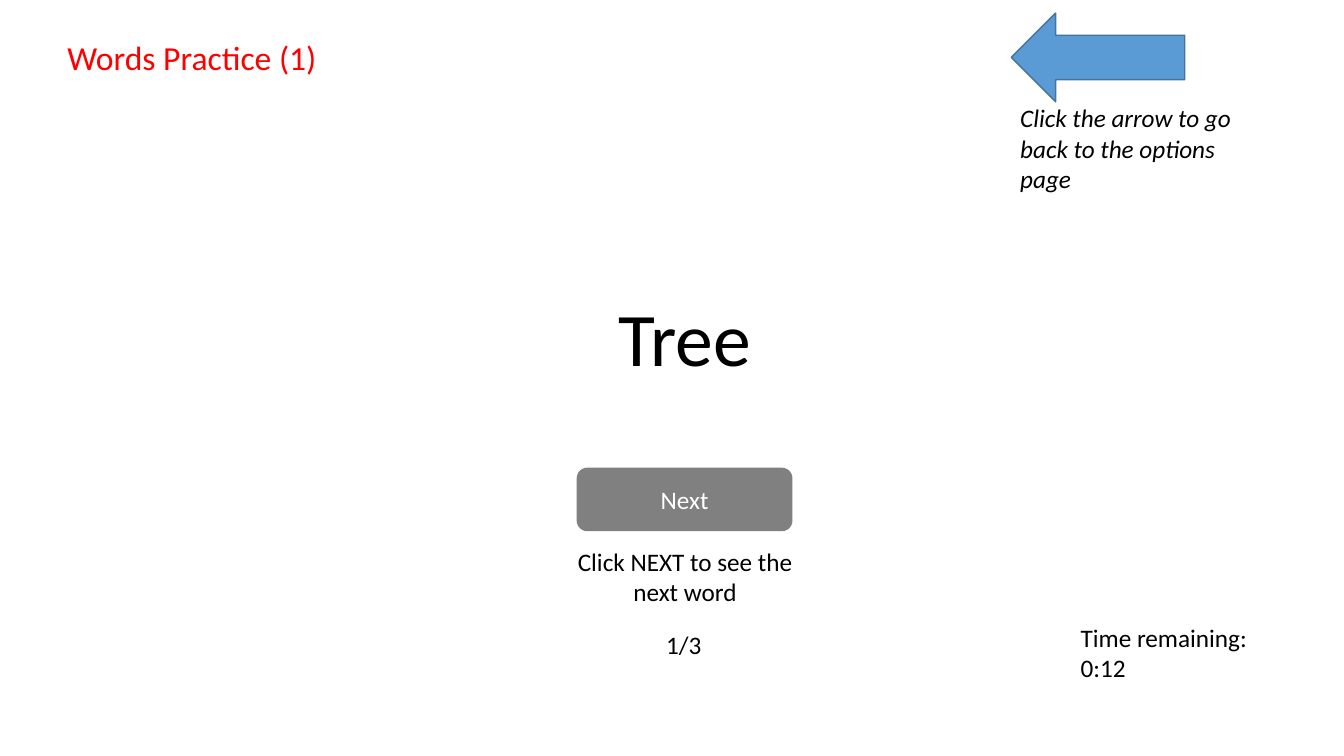
from dataclasses import dataclass, field

from pptx import Presentation
from pptx.dml.color import RGBColor
from pptx.enum.shapes import MSO_SHAPE
from pptx.enum.text import MSO_ANCHOR, PP_ALIGN
from pptx.util import Emu, Pt

LEFT, CENTER = PP_ALIGN.LEFT, PP_ALIGN.CENTER
MIDDLE = MSO_ANCHOR.MIDDLE
ROUNDED, LEFT_ARROW = MSO_SHAPE.ROUNDED_RECTANGLE, MSO_SHAPE.LEFT_ARROW

EMU_PER_PX = 9144  # 100 px to the inch
COLORS = {
    "black": "000000",
    "red": "FF0000",
    "white": "FFFFFF",
    "grey": "808080",
    "blue": "5B9BD5",
    "dark blue": "43739E",
}


@dataclass
class Label:
    box: tuple[int, int, int, int]
    lines: list[str]
    color: str = "black"
    align: PP_ALIGN = LEFT
    format: dict = field(default_factory=dict)


@dataclass
class Button:
    box: tuple[int, int, int, int]
    outline: MSO_SHAPE
    fill: str
    line: str = ""
    caption: str = ""


def px(*lengths: int) -> list[Emu]:
    return [Emu(length * EMU_PER_PX) for length in lengths]


def rgb(color: str) -> RGBColor:
    return RGBColor.from_string(COLORS[color])


def write(frame, lines: list[str], color: str, align: PP_ALIGN, format: dict) -> None:
    frame.word_wrap = True
    frame.text = "\n".join(lines)
    for paragraph in frame.paragraphs:
        paragraph.alignment = align
        for name, value in ({"name": "Calibri", "size": Pt(18)} | format).items():
            setattr(paragraph.font, name, value)
        paragraph.font.color.rgb = rgb(color)


def draw_label(slide, label: Label) -> None:
    frame = slide.shapes.add_textbox(*px(*label.box)).text_frame
    write(frame, label.lines, label.color, label.align, label.format)


def draw_button(slide, button: Button) -> None:
    shape = slide.shapes.add_shape(button.outline, *px(*button.box))
    shape.shadow.inherit = False
    shape.fill.solid()
    shape.fill.fore_color.rgb = rgb(button.fill)
    if button.line:
        shape.line.color.rgb = rgb(button.line)
        shape.line.width = Pt(1)
    else:
        shape.line.fill.background()
    if button.caption:
        shape.text_frame.vertical_anchor = MIDDLE
        write(shape.text_frame, [button.caption], "white", CENTER, {})


PARTS = [
    # Title and the word to practise
    Label((57, 32, 310, 50), ["Words Practice (1)"], "red", format={"size": Pt(24)}),
    Label((498, 284, 362, 101), ["Tree"], align=CENTER, format={"size": Pt(54)}),
    # Next word
    Button((572, 464, 214, 63), ROUNDED, "grey", caption="Next"),
    Label((546, 537, 267, 71), ["Click NEXT to see the next word"], align=CENTER),
    # Way back to the options
    Button((1003, 13, 172, 88), LEFT_ARROW, "blue", line="dark blue"),
    Label((1002, 97, 233, 101), ["Click the arrow to go back to the options page"],
          format={"italic": True}),
    # Time and progress
    Label((1062, 612, 224, 71), ["Time remaining:", "0:12"]),
    Label((651, 619, 104, 40), ["1/3"]),
]


def main() -> None:
    deck = Presentation()
    deck.slide_width, deck.slide_height = px(1333, 750)
    slide = deck.slides.add_slide(deck.slide_layouts[6])
    for part in PARTS:
        if isinstance(part, Label):
            draw_label(slide, part)
        else:
            draw_button(slide, part)
    deck.save("out.pptx")


if __name__ == "__main__":
    main()
